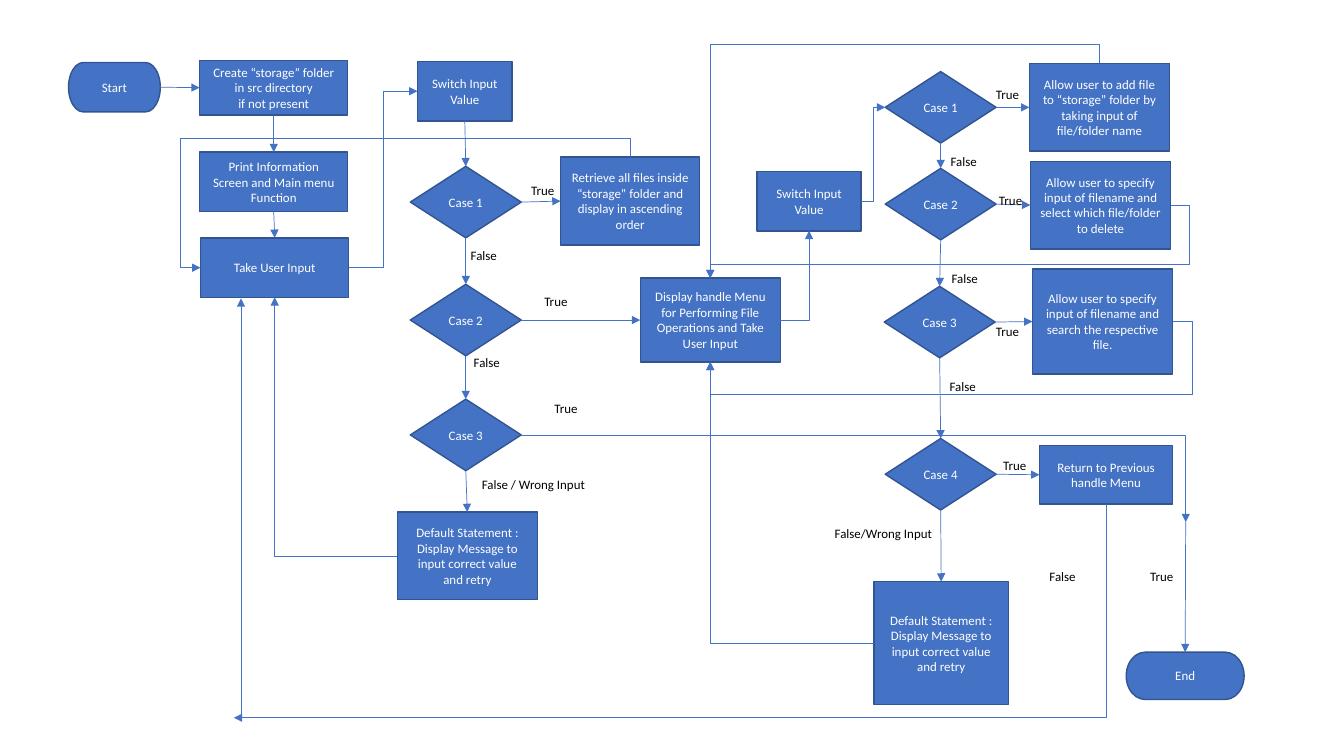
"""Build a flowchart slide of a file-handling menu program."""
from dataclasses import dataclass
from typing import NamedTuple, Optional, Union

import pptx
import pptx.dml.color
import pptx.enum.shapes
import pptx.enum.text
import pptx.oxml
import pptx.oxml.ns
import pptx.util
from pptx.util import Inches

SHAPES = pptx.enum.shapes.MSO_SHAPE
BOX, PROCESS = SHAPES.RECTANGLE, SHAPES.FLOWCHART_PROCESS
DECISION, TERMINATOR = SHAPES.FLOWCHART_DECISION, SHAPES.FLOWCHART_TERMINATOR
TOP, LEFT, BOTTOM, RIGHT = range(4)
BLUE, OUTLINE, WHITE, BLACK = "4472C4", "325491", "FFFFFF", "000000"
FONT, TEXT_SIZE = "Calibri", 9.2
RETRY = "Default Statement : Display Message to input correct value and retry"


class Side(NamedTuple):
    node: str
    side: int


class Point(NamedTuple):
    x: float
    y: float


@dataclass
class Node:
    key: str
    text: str
    left: float
    top: float
    width: float = 1.39
    height: float = 0.87
    outline: int = PROCESS


@dataclass
class Link:
    """An arrow; bends are the free coordinates of an elbow, None is straight."""
    start: Union[Side, Point]
    end: Union[Side, Point]
    bends: Optional[tuple] = None


@dataclass
class Label:
    text: str
    left: float
    top: float
    width: float = 0.44
    wrap: bool = False


def decision(key: str, number: int, left: float, top: float) -> Node:
    return Node(key, f"Case {number}", left, top, 1.1, 0.71, DECISION)


NODES = [
    Node("start", "Start", 0.68, 0.62, 0.91, 0.49, TERMINATOR),
    Node("create", "Create “storage” folder in src directory\nif not present",
         1.98, 0.6, 1.47, 0.54, BOX),
    Node("print", "Print Information Screen and Main menu Function",
         1.98, 1.51, 1.47, 0.59, BOX),
    Node("input", "Take User Input", 1.99, 2.36, 1.47, 0.59, BOX),
    Node("main switch", "Switch Input\nValue", 4.14, 0.61, 0.94, 0.59, BOX),
    decision("main 1", 1, 4.07, 1.65),
    decision("main 2", 2, 4.07, 2.82),
    decision("main 3", 3, 4.07, 3.96),
    Node("main default", RETRY, 3.94, 5.08),
    Node("retrieve", "Retrieve all files inside “storage” folder and display "
         "in ascending order", 5.56, 1.56, 1.38),
    Node("handle menu", "Display handle Menu for Performing File Operations "
         "and Take User Input", 6.35, 2.76, height=0.83),
    Node("file switch", "Switch Input\nValue", 7.51, 1.7, 1.03, 0.59, BOX),
    decision("file 1", 1, 8.78, 0.71),
    decision("file 2", 2, 8.78, 1.67),
    decision("file 3", 3, 8.77, 2.84),
    decision("file 4", 4, 8.78, 4.35),
    Node("file default", RETRY, 8.67, 5.77, 1.33, 1.22),
    Node("add", "Allow user to add file to “storage” folder by taking input "
         "of file/folder name", 10.21, 0.63),
    Node("delete", "Allow user to specify input of filename and select which "
         "file/folder to delete", 10.22, 1.6),
    Node("search", "Allow user to specify input of filename and search the "
         "respective file.", 10.24, 2.67, height=1.04),
    Node("return", "Return to Previous handle Menu", 10.31, 4.42, 1.32, 0.58),
    Node("end", "End", 11.17, 6.47, 1.17, 0.47, TERMINATOR),
]

DOWNWARD = [
    ("create", "print", "input"),
    ("main switch", "main 1", "main 2", "main 3", "main default"),
    ("file 1", "file 2", "file 3", "file 4", "file default"),
]
RIGHTWARD = [
    ("start", "create"), ("main 1", "retrieve"), ("main 2", "handle menu"),
    ("file 1", "add"), ("file 2", "delete"), ("file 3", "search"),
    ("file 4", "return"),
]
EXIT_TURN = Point(11.76, 5.18)

LINKS = [Link(Side(upper, BOTTOM), Side(lower, TOP))
         for chain in DOWNWARD for upper, lower in zip(chain, chain[1:])]
LINKS += [Link(Side(near, RIGHT), Side(far, LEFT)) for near, far in RIGHTWARD]
LINKS += [
    Link(EXIT_TURN, Side("end", TOP)),
    Link(Point(2.39, 7.12), Point(2.39, 2.96)),
    Link(Side("input", RIGHT), Side("main switch", LEFT), (3.8,)),
    Link(Side("main default", LEFT), Side("input", BOTTOM), ()),
    Link(Side("main 3", RIGHT), EXIT_TURN, ()),
    Link(Side("file switch", RIGHT), Side("file 1", LEFT), (8.66,)),
    Link(Side("file default", LEFT), Side("handle menu", BOTTOM), ()),
    Link(Side("retrieve", TOP), Side("input", LEFT), (1.37, 1.79)),
    Link(Side("handle menu", RIGHT), Side("file switch", BOTTOM), ()),
    Link(Side("search", RIGHT), Side("handle menu", BOTTOM), (11.83, 3.91)),
    Link(Side("delete", RIGHT), Side("handle menu", TOP), (11.8, 2.62)),
    Link(Side("add", TOP), Side("handle menu", TOP), (0.44,)),
    Link(Side("return", BOTTOM), Point(2.32, 7.12), ()),
]

LABELS = [Label("True", left, top) for left, top in (
    (5.17, 1.76), (5.3, 2.86), (5.4, 3.93), (9.78, 0.81), (9.81, 1.86),
    (9.78, 3.16), (9.85, 4.49), (11.31, 5.59))]
LABELS += [Label("False", left, top, 0.47) for left, top in (
    (4.57, 2.41), (4.6, 3.47), (9.33, 1.47), (9.34, 2.64))]
LABELS += [
    Label("False", 9.32, 3.71, 0.53, True),
    Label("False", 10.31, 5.59, 0.59, True),
    Label("False / Wrong Input", 4.68, 4.68, 1.25),
    Label("False/Wrong Input", 8.18, 5.17, 1.19),
]


def colour(value: str) -> pptx.dml.color.RGBColor:
    return pptx.dml.color.RGBColor.from_string(value)


def write(frame, text: str, ink: str, align) -> None:
    frame.text = text
    for paragraph in frame.paragraphs:
        paragraph.alignment = align
        paragraph.font.name = FONT
        paragraph.font.size = pptx.util.Pt(TEXT_SIZE)
        paragraph.font.color.rgb = colour(ink)


def draw_node(slide, node: Node):
    shape = slide.shapes.add_shape(node.outline, Inches(node.left), Inches(node.top),
                                   Inches(node.width), Inches(node.height))
    shape.shadow.inherit = False
    shape.fill.solid()
    shape.fill.fore_color.rgb = colour(BLUE)
    shape.line.color.rgb = colour(OUTLINE)
    shape.line.width = pptx.util.Pt(1)
    shape.text_frame.vertical_anchor = pptx.enum.text.MSO_ANCHOR.MIDDLE
    write(shape.text_frame, node.text, WHITE, pptx.enum.text.PP_ALIGN.CENTER)
    return shape


def bend(arrow, link: Link) -> None:
    start, end = (arrow.begin_x, arrow.begin_y), (arrow.end_x, arrow.end_y)
    dx, dy = end[0] - start[0], end[1] - start[1]
    vertical = link.start.side in (TOP, BOTTOM)
    along, across = (-dy, dx) if vertical else (dx, dy)
    arrow.width, arrow.height = abs(along), abs(across)
    arrow.left = (start[0] + end[0] - arrow.width) // 2
    arrow.top = (start[1] + end[1] - arrow.height) // 2
    properties = arrow._element.spPr
    frame = properties.find(pptx.oxml.ns.qn("a:xfrm"))
    frame.set("rot", str(270 * 60000 if vertical else 0))
    frame.set("flipH", str(int(along < 0)))
    frame.set("flipV", str(int(across < 0)))
    geometry = properties.find(pptx.oxml.ns.qn("a:prstGeom"))
    geometry.set("prst", f"bentConnector{len(link.bends) + 2}")
    guides = geometry.get_or_add_avLst()
    for index, place in enumerate(link.bends):
        axis = (index + vertical) % 2
        share = (Inches(place) - start[axis]) / (end[axis] - start[axis])
        guide = pptx.oxml.parse_xml(f'<a:gd {pptx.oxml.ns.nsdecls("a")}/>')
        guide.set("name", f"adj{index + 1}" if len(link.bends) > 1 else "adj1")
        guide.set("fmla", f"val {round(share * 100000)}")
        guides.append(guide)


def draw_link(slide, link: Link, drawn: dict) -> None:
    kinds = pptx.enum.shapes.MSO_CONNECTOR
    kind = kinds.STRAIGHT if link.bends is None else kinds.ELBOW
    ends = [(Inches(e.x), Inches(e.y)) if isinstance(e, Point) else (0, 0)
            for e in (link.start, link.end)]
    arrow = slide.shapes.add_connector(kind, *ends[0], *ends[1])
    for place, join in ((link.start, arrow.begin_connect), (link.end, arrow.end_connect)):
        if isinstance(place, Side):
            join(drawn[place.node], place.side)
    if link.bends is not None:
        bend(arrow, link)
    arrow.line.color.rgb = colour(BLUE)
    arrow.line.width = pptx.util.Pt(0.5)
    names = pptx.oxml.ns.nsdecls("a")
    arrow.line._get_or_add_ln().append(
        pptx.oxml.parse_xml(f'<a:tailEnd {names} type="triangle"/>'))
    arrow._element.spPr.append(pptx.oxml.parse_xml(f"<a:effectLst {names}/>"))


def draw_label(slide, label: Label) -> None:
    frame = slide.shapes.add_textbox(Inches(label.left), Inches(label.top),
                                     Inches(label.width), Inches(0.26)).text_frame
    frame.word_wrap = label.wrap
    frame.auto_size = pptx.enum.text.MSO_AUTO_SIZE.SHAPE_TO_FIT_TEXT
    write(frame, label.text, BLACK, pptx.enum.text.PP_ALIGN.LEFT)


def main() -> None:
    deck = pptx.Presentation()
    deck.slide_width, deck.slide_height = Inches(13.33), Inches(7.5)
    slide = deck.slides.add_slide(deck.slide_layouts[6])
    drawn = {node.key: draw_node(slide, node) for node in NODES}
    for link in LINKS:
        draw_link(slide, link, drawn)
    for label in LABELS:
        draw_label(slide, label)
    deck.save("out.pptx")


if __name__ == "__main__":
    main()
